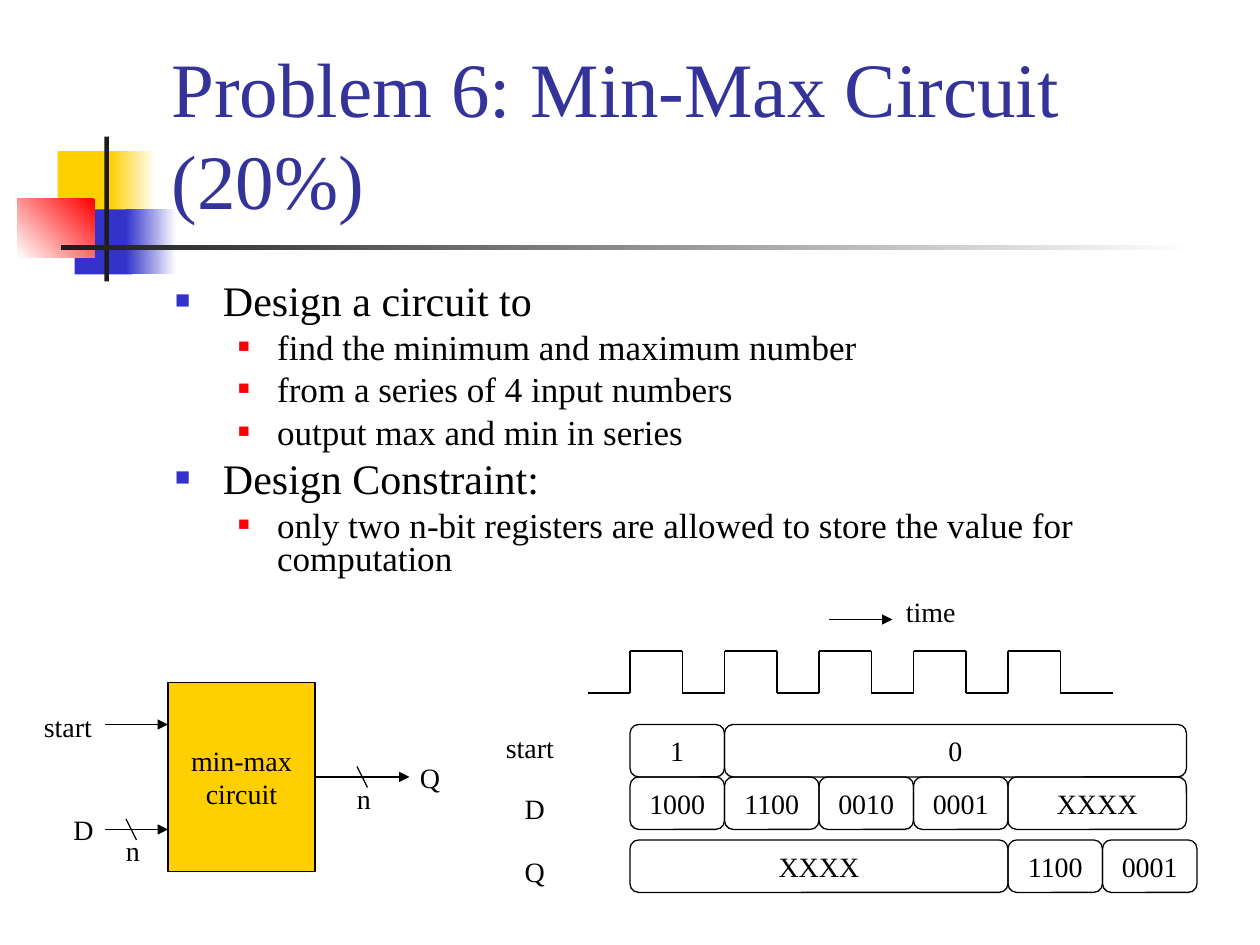
from typing import NamedTuple, Optional

from lxml.etree import SubElement
from pptx import Presentation
from pptx.dml.color import RGBColor
from pptx.enum.shapes import MSO_CONNECTOR, MSO_SHAPE
from pptx.enum.text import MSO_ANCHOR, MSO_AUTO_SIZE, PP_ALIGN
from pptx.oxml.ns import qn
from pptx.util import Inches, Pt

FONT = "Times New Roman"
COLS, ROWS = 120, 90  # grid of the whole slide, twelve cells to the inch
HUES = {
    "gold": "FFCF01", "blue": "3333CC", "red": "FF0000", "dark": "1C1C1C",
    "navy": "333399", "black": "000000", "white": "FFFFFF",
}


class Box(NamedTuple):
    x: float
    y: float
    w: float
    h: float


class Block(NamedTuple):
    box: Box
    hue: str
    angle: Optional[int] = None  # fades to white when given


class Label(NamedTuple):
    text: str
    x: float
    y: float
    w: float


class Wire(NamedTuple):
    x1: float
    y1: float
    x2: float
    y2: float
    arrow: bool = False


class Cell(NamedTuple):
    text: str
    x: int
    y: int
    w: int


class Level(NamedTuple):
    size: int
    left: float
    hang: float
    gap: int
    hue: str
    scale: int


prs = Presentation()
prs.slide_width, prs.slide_height = Inches(10), Inches(7.5)
slide = prs.slides.add_slide(prs.slide_layouts[6])
shapes = slide.shapes


def color(hue: str) -> RGBColor:
    return RGBColor.from_string(HUES[hue])


def grid(x: float, y: float) -> tuple[int, int]:
    return round(prs.slide_width * x / COLS), round(prs.slide_height * y / ROWS)


def place(box: Box) -> tuple[int, ...]:
    return grid(box.x, box.y) + grid(box.w, box.h)


def bullet(para, lev: Level) -> None:
    props = para._p.get_or_add_pPr()
    props.set("marL", str(Inches(lev.left)))
    props.set("indent", str(-Inches(lev.hang)))
    tint = SubElement(props, qn("a:buClr"))
    SubElement(tint, qn("a:srgbClr"), val=HUES[lev.hue])
    SubElement(props, qn("a:buSzPct"), val=str(lev.scale * 1000))
    SubElement(props, qn("a:buFont"), typeface=FONT)
    SubElement(props, qn("a:buChar"), char="■")


def write(frame, text: str, *, size=16, hue="black", align=PP_ALIGN.LEFT,
          anchor=MSO_ANCHOR.TOP, wrap=False, levels=()) -> None:
    """Fill a frame with one paragraph per line of text."""
    frame.word_wrap = wrap
    frame.vertical_anchor = anchor
    for i, line in enumerate(text.split("\n")):
        para = frame.paragraphs[0] if i == 0 else frame.add_paragraph()
        para.alignment = align
        lev = levels[i] if levels else None
        if lev:
            para.level = LEVELS.index(lev)
            para.line_spacing = 0.8
            para.space_before = Pt(lev.gap if i else 0)
            bullet(para, lev)
        run = para.add_run()
        run.text = line
        run.font.name = FONT
        run.font.size = Pt(lev.size if lev else size)
        run.font.color.rgb = color(hue)


def block(item: Block) -> None:
    shape = shapes.add_shape(MSO_SHAPE.RECTANGLE, *place(item.box))
    shape.shadow.inherit = False
    shape.line.fill.background()
    if item.angle is None:
        shape.fill.solid()
        shape.fill.fore_color.rgb = color(item.hue)
        return
    shape.fill.gradient()
    shape.fill.gradient_angle = item.angle
    for stop, pos, hue in zip(shape.fill.gradient_stops, (0, 1), (item.hue, "white")):
        stop.position = pos
        stop.color.rgb = color(hue)


def node(box: Box, text: str, kind=MSO_SHAPE.ROUNDED_RECTANGLE, hue: str = ""):
    shape = shapes.add_shape(kind, *place(box))
    shape.shadow.inherit = False
    if hue:
        shape.fill.solid()
        shape.fill.fore_color.rgb = color(hue)
    else:
        shape.fill.background()
    shape.line.color.rgb = color("black")
    shape.line.width = Pt(0.75)
    write(shape.text_frame, text, align=PP_ALIGN.CENTER, anchor=MSO_ANCHOR.MIDDLE)
    return shape


def draw(wire: Wire):
    line = shapes.add_connector(
        MSO_CONNECTOR.STRAIGHT, *grid(wire.x1, wire.y1), *grid(wire.x2, wire.y2))
    line.line.color.rgb = color("black")
    line.line.width = Pt(0.75)
    SubElement(line._element.spPr, qn("a:effectLst"))
    if wire.arrow:
        SubElement(line.line._get_or_add_ln(), qn("a:tailEnd"), type="triangle")
    return line


def tag(item: Label) -> None:
    frame = shapes.add_textbox(*place(Box(item.x, item.y, item.w, 4.4))).text_frame
    write(frame, item.text)
    frame.auto_size = MSO_AUTO_SIZE.SHAPE_TO_FIT_TEXT


# Corner blocks and rules
for item in (
    Block(Box(5.5, 14.4, 5.8, 6.2), "gold"),
    Block(Box(10.5, 14.4, 4.3, 6.2), "gold", 0),
    Block(Box(7.1, 19.95, 5.5, 6.2), "blue"),
    Block(Box(12, 19.95, 4.8, 6.2), "blue", 0),
    Block(Box(1.65, 18.95, 7.4, 5.6), "red", 225),
    Block(Box(9.95, 13, 0.42, 13.8), "dark"),
    Block(Box(5.8, 23.35, 108, 0.42), "dark", 0),
):
    block(item)

# Title and bullet list
title = shapes.add_textbox(*place(Box(15.15, 2.8, 102.25, 19.2)))
write(title.text_frame, "Problem 6: Min-Max Circuit (20%)", size=44, hue="navy",
      anchor=MSO_ANCHOR.BOTTOM, wrap=True)

LEVELS = (TOP, SUB) = (
    Level(24, 0.38, 0.38, 6, "blue", 60),
    Level(20, 0.81, 0.31, 5, "red", 55),
)
POINTS = (
    (TOP, "Design a circuit to"),
    (SUB, "find the minimum and maximum number"),
    (SUB, "from a series of 4 input numbers"),
    (SUB, "output max and min in series"),
    (TOP, "Design Constraint:"),
    (SUB, "only two n-bit registers are allowed to store the value for computation"),
)
body = shapes.add_textbox(*place(Box(15.5, 26.5, 102, 29.5)))
write(body.text_frame, "\n".join(text for _, text in POINTS), wrap=True,
      levels=[lev for lev, _ in POINTS])

# Circuit with its ports
core = node(Box(16, 65, 14, 18), "min-max\ncircuit", MSO_SHAPE.RECTANGLE, "gold")
for wire in (
    Wire(10, 69, 16, 69, True), Wire(10, 79, 16, 79, True),
    Wire(12, 78, 13, 80), Wire(34, 73, 35, 75),
):
    draw(wire)
draw(Wire(30, 74, 39, 74, True)).begin_connect(core, 3)

# Clock wave: high for five columns in every nine
BEAT, HIGH, LEFT, CREST, BASE = 9, 5, 60, 62, 66
turns = [(56, BASE)]
for k in range(5):
    rise = LEFT + k * BEAT
    fall = rise + HIGH
    turns += [(rise, BASE), (rise, CREST), (fall, CREST), (fall, BASE)]
turns.append((106, BASE))
for start, end in zip(turns, turns[1:]):
    draw(Wire(*start, *end))
draw(Wire(79, 59, 85, 59, True))

# Signal values over time
for cell in (
    Cell("1", LEFT, 69, BEAT), Cell("0", LEFT + BEAT, 69, 44),
    *(Cell(word, LEFT + k * BEAT, 74, BEAT)
      for k, word in enumerate(("1000", "1100", "0010", "0001"))),
    Cell("XXXX", LEFT + 4 * BEAT, 74, 17),
    Cell("XXXX", LEFT, 80, 4 * BEAT),
    *(Cell(word, LEFT + k * BEAT, 80, BEAT)
      for k, word in enumerate(("1100", "0001"), 4)),
):
    node(Box(cell.x, cell.y, cell.w, 5), cell.text)

# Signal names
for item in (
    Label("start", 3, 67, 7), Label("D", 5.8, 76.8, 4.3),
    Label("n", 10.8, 78.8, 3.7), Label("n", 32.8, 73.8, 3.7),
    Label("Q", 38.8, 71.8, 4.3), Label("start", 47, 69, 7),
    Label("D", 48.8, 74.8, 4.3), Label("Q", 48.8, 80.8, 4.3),
    Label("time", 85.1, 56, 7.1),
):
    tag(item)

prs.save("out.pptx")
